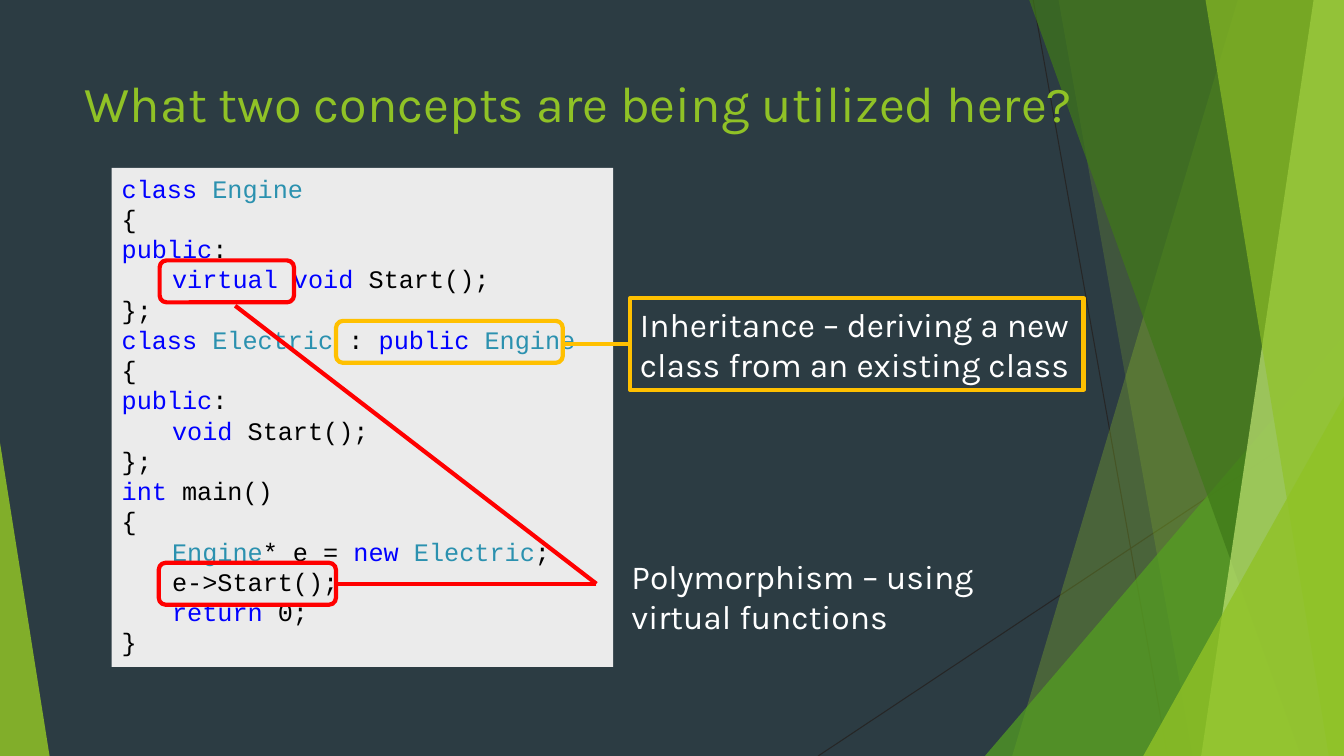
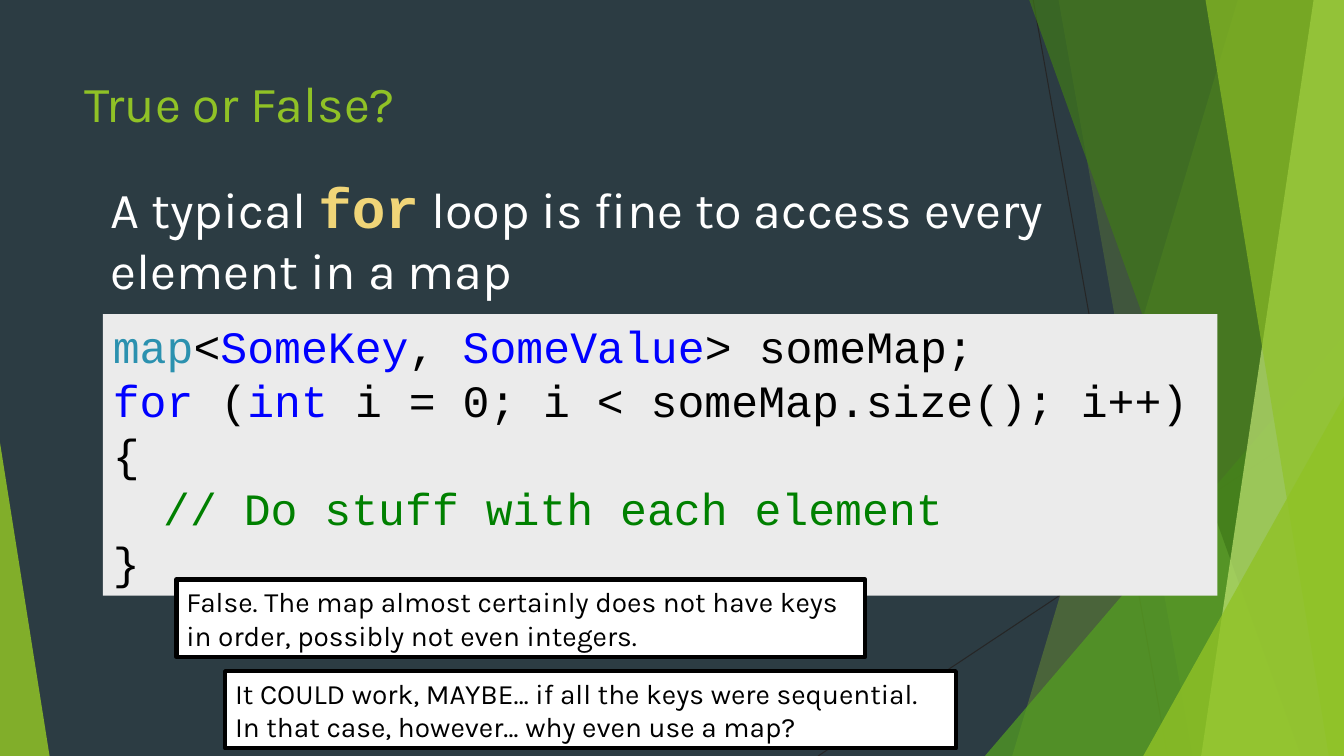
from dataclasses import dataclass
from itertools import groupby

from lxml import etree
from pptx import Presentation
from pptx.dml.color import RGBColor
from pptx.enum import shapes, text
from pptx.oxml import ns
from pptx.util import Inches, Pt

# The slide is a grid of 160 columns by 90 rows
COLUMNS, ROWS = 160, 90
MODULE = Inches(1 / 12)


@dataclass(frozen=True)
class Theme:
    # Colours
    ground: str = "2C3C43"
    green: str = "90C226"
    leaf: str = "54A021"
    forest: str = "3F7819"
    lime: str = "C0E474"
    hairline: str = "262626"
    panel: str = "EBEBEB"
    white: str = "FFFFFF"
    black: str = "000000"
    red: str = "FF0000"
    amber: str = "FFC000"
    sand: str = "F0D578"
    keyword: str = "0000FF"
    type_name: str = "2B91AF"
    comment: str = "008000"
    # Fonts and sizes
    sans: str = "Karla"
    mono: str = "Courier New"
    title: int = 36
    statement: int = 36
    emphasis: int = 40
    label: int = 24
    answer: int = 20
    long_code: int = 18
    short_code: int = 32
    stroke: float = 3
    thin: float = 0.75
    leading: float = 1.2


THEME = Theme()
KEYWORDS = set("class public virtual void int new return for SomeKey SomeValue".split())
TYPES = {"Engine", "Electric", "map"}

ENGINE_CODE = """class Engine
{
public:
\tvirtual void Start();
};
class Electric : public Engine
{
public:
\tvoid Start();
};
int main()
{
\tEngine* e = new Electric;
\te->Start();
\treturn 0;
}"""

MAP_CODE = """map<SomeKey, SomeValue> someMap;
for (int i = 0; i < someMap.size(); i++)
{
\t// Do stuff with each element
}"""


def grid(*counts):
    """Turn grid counts into lengths."""
    return [round(count * MODULE) for count in counts]


def rgb(colour):
    return RGBColor.from_string(colour)


# Formatting
def paint(shape, fill=None, line=None, width=THEME.stroke, opacity=100):
    shape.shadow.inherit = False
    if fill:
        shape.fill.solid()
        shape.fill.fore_color.rgb = rgb(fill)
        if opacity < 100:
            colour = shape.fill._xPr.find(".//" + ns.qn("a:srgbClr"))
            etree.SubElement(colour, ns.qn("a:alpha"), val=str(opacity * 1000))
    else:
        shape.fill.background()
    if line:
        shape.line.color.rgb = rgb(line)
        shape.line.width = Pt(width)
    else:
        shape.line.fill.background()
    return shape


def write(shape, lines, size, font=THEME.sans, colour=THEME.white,
          anchor=text.MSO_ANCHOR.MIDDLE):
    """Fill a shape; each line is a list of (words, format) spans."""
    frame = shape.text_frame
    frame.word_wrap = True
    frame.auto_size = text.MSO_AUTO_SIZE.NONE
    frame.vertical_anchor = anchor
    for number, spans in enumerate(lines):
        para = frame.add_paragraph() if number else frame.paragraphs[0]
        para.alignment = text.PP_ALIGN.LEFT
        para.line_spacing = Pt(size * THEME.leading)
        if spans[0][0].startswith("\t"):
            add_tab_stop(para)
        for words, change in spans:
            span = para.add_run()
            span.text = words
            span.font.name = change.get("font", font)
            span.font.size = Pt(change.get("size", size))
            span.font.bold = change.get("bold", False)
            span.font.color.rgb = rgb(change.get("colour", colour))


def add_tab_stop(para):
    stops = etree.SubElement(para._p.get_or_add_pPr(), ns.qn("a:tabLst"))
    etree.SubElement(stops, ns.qn("a:tab"), pos=str(Inches(0.5)), algn="l")


def highlight(line):
    """Split a line of code into coloured spans."""
    if line.strip().startswith("//"):
        return [(line, {"colour": THEME.comment})]
    pieces, colour = [], THEME.black
    for _, letters in groupby(line, lambda c: "word" if c.isalnum() else c.isspace()):
        piece = "".join(letters)
        if not piece.isspace():
            colour = (THEME.keyword if piece in KEYWORDS else
                      THEME.type_name if piece in TYPES else THEME.black)
        pieces.append((piece, colour))
    return [("".join(piece for piece, _ in run), {"colour": shade})
            for shade, run in groupby(pieces, lambda item: item[1])]


# Elements
def add_box(page, *place, kind=shapes.MSO_SHAPE.RECTANGLE, **look):
    return paint(page.shapes.add_shape(kind, *grid(*place)), **look)


def add_label(page, place, words, size, colour=THEME.white, **look):
    write(add_box(page, *place, **look), [[(words, {})]], size, colour=colour)


def add_code(page, place, code, size):
    panel = add_box(page, *place, fill=THEME.panel)
    write(panel, [highlight(line) for line in code.splitlines()], size, THEME.mono,
          anchor=text.MSO_ANCHOR.TOP)


def add_marker(page, *place, colour):
    add_box(page, *place, kind=shapes.MSO_SHAPE.ROUNDED_RECTANGLE, line=colour)


def add_line(page, start, end, colour, width=THEME.stroke):
    line = page.shapes.add_connector(
        shapes.MSO_CONNECTOR.STRAIGHT, *grid(*start, *end))
    line.line.color.rgb = rgb(colour)
    line.line.width = Pt(width)
    etree.SubElement(line._element.spPr, ns.qn("a:effectLst"))


def add_triangle(page, left, top, width, apex, colour, opacity):
    """A triangle that stands on the bottom edge."""
    shape = add_box(page, left, top, width, ROWS - top,
                    kind=shapes.MSO_SHAPE.ISOSCELES_TRIANGLE,
                    fill=colour, opacity=opacity)
    shape.adjustments[0] = apex


def add_band(page, top_left, bottom_left, colour, opacity):
    """A full-height band from a slanted edge to the right edge."""
    top = -0.1
    outline = page.shapes.build_freeform(*grid(top_left, top), scale=1.0)
    corners = [(COLUMNS, top), (COLUMNS, ROWS), (bottom_left, ROWS)]
    outline.add_line_segments([grid(*corner) for corner in corners], close=True)
    paint(outline.convert_to_shape(), fill=colour, opacity=opacity)


def add_page(deck, layout, title, width, height):
    page = deck.slides.add_slide(layout)
    box = page.shapes.title
    box.left, box.top, box.width, box.height = grid(8.9, 8, width, height)
    write(box, [[(title, {})]], THEME.title, colour=THEME.green,
          anchor=text.MSO_ANCHOR.TOP)
    return page


# Shared background
def draw_facets(page):
    add_line(page, (123, 0), (139, ROWS), THEME.hairline, THEME.thin)
    add_line(page, (COLUMNS, 48.4), (97.4, ROWS), THEME.hairline, THEME.thin)
    add_band(page, 147.4, 120.5, THEME.green, 30)
    add_band(page, 126, 142, THEME.green, 20)
    add_triangle(page, 117.25, 40, 42.75, 1, THEME.leaf, 72)
    add_band(page, 122.5, 154.9, THEME.forest, 70)
    add_band(page, 156.4, 143, THEME.lime, 70)
    add_band(page, 143.5, 158.2, THEME.green, 65)
    add_triangle(page, 136.1, 47.2, 23.9, 1, THEME.green, 80)
    add_triangle(page, 0, 52.7, 5.9, 0, THEME.green, 85)


def dress_layout(layout, page):
    """Draw the background on a page, then move it to the layout."""
    layout.background.fill.solid()
    layout.background.fill.fore_color.rgb = rgb(THEME.ground)
    for holder in list(layout.placeholders)[1:]:
        layout.shapes.element.remove(holder.element)
    draw_facets(page)
    for shape in list(page.shapes):
        if not shape.is_placeholder:
            layout.shapes.element.append(shape._element)


# Slides
def fill_concepts(page):
    add_code(page, (13.3, 20, 59.7, 59.4), ENGINE_CODE, THEME.long_code)
    # Polymorphism
    add_label(page, (74, 65.5, 54, 10.9),
              "Polymorphism – using virtual functions", THEME.label)
    add_marker(page, 19, 31, 16, 5, colour=THEME.red)
    add_marker(page, 18.9, 67, 21.1, 5, colour=THEME.red)
    for target in [(40, 69.5), (28, 36.4)]:
        add_line(page, (71, 69.5), target, THEME.red)
    # Inheritance
    add_label(page, (75, 35.5, 54, 10.9),
              "Inheritance – deriving a new class from an existing class",
              THEME.label, line=THEME.amber)
    add_marker(page, 40, 38.2, 27, 5, colour=THEME.amber)
    add_line(page, (75, 41), (67, 41), THEME.amber)


def fill_true_or_false(page):
    statement = page.shapes.add_textbox(*grid(12, 20.2, 129, 16.6))
    emphasis = {"font": THEME.mono, "size": THEME.emphasis,
                "colour": THEME.sand, "bold": True}
    write(statement, [[("A typical ", {}), ("for", emphasis),
                       (" loop is fine to access every element in a map", {})]],
          THEME.statement)
    add_code(page, (12.25, 37.4, 132.7, 33.5), MAP_CODE, THEME.short_code)
    answers = [
        ((21, 69, 82, 9.2), "False. The map almost certainly does not have keys "
                            "in order, possibly not even integers."),
        ((26.8, 79.9, 87, 9.2), "It COULD work, MAYBE… if all the keys were sequential. "
                                "In that case, however… why even use a map?"),
    ]
    for place, words in answers:
        add_label(page, place, words, THEME.answer, colour=THEME.black,
                  fill=THEME.white, line=THEME.black)


def main():
    deck = Presentation()
    deck.slide_width, deck.slide_height = grid(COLUMNS, ROWS)
    layout = deck.slide_layouts.get_by_name("Title Only")
    concepts = add_page(deck, layout, "What two concepts are being utilized here?", 123, 9)
    dress_layout(layout, concepts)
    fill_concepts(concepts)
    fill_true_or_false(add_page(deck, layout, "True or False?", 112.8, 17.3))
    deck.save("out.pptx")


main()
